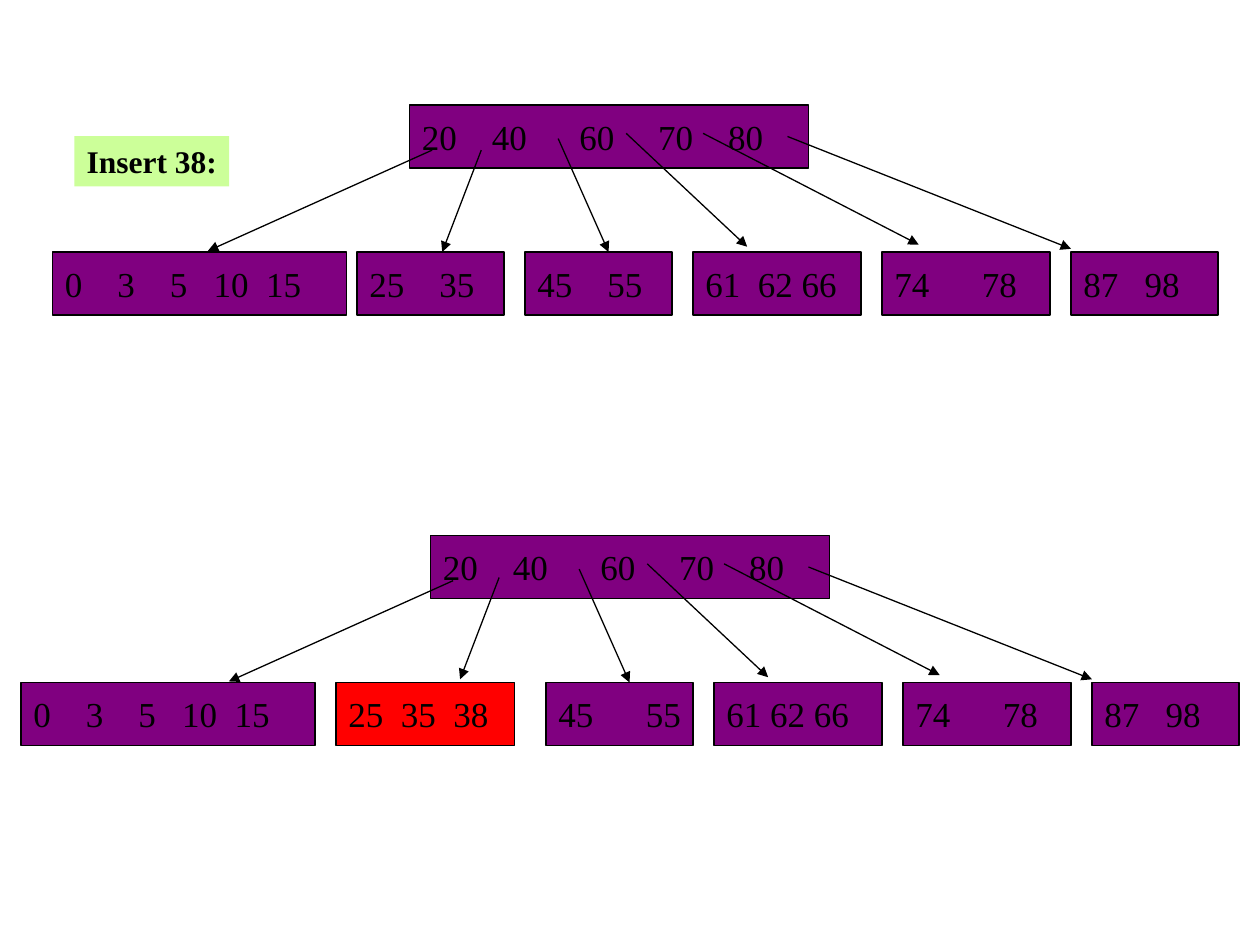
from dataclasses import dataclass

from lxml.etree import SubElement as Sub
from pptx import Presentation
from pptx.dml.color import RGBColor as Rgb
from pptx.enum.shapes import MSO_CONNECTOR as Conn, MSO_SHAPE as Kind
from pptx.enum.text import MSO_ANCHOR as Anchor, PP_ALIGN as Align
from pptx.oxml.ns import qn
from pptx.util import Inches, Pt


@dataclass(frozen=True)
class Theme:
    font: str = "Times New Roman"
    ink: str = "000000"
    node: str = "800080"
    hot: str = "FF0000"
    label: str = "CCFF99"
    keys: int = 20
    title: int = 18
    line: float = 0.75


@dataclass(frozen=True)
class Node:
    """Keys of one box; stops are key offsets in quarter ems."""
    col: int
    wide: int
    keys: str
    stops: tuple[int, ...]
    fill: str


@dataclass(frozen=True)
class Tree:
    """A root, its leaves, and the nudge of each arrow by index."""
    row: int
    root: Node
    leaves: tuple[Node, ...]
    nudge: dict[int, float]


LOOK = Theme()
CELL = 1 / 12  # grid pitch in inches
HIGH, DROP = 6, 14  # box height and root-to-leaf step, in rows

# Arrow start and end, in cells from the root's top left corner
ARROWS = (
    (2.16, 4.3, -19.2, 13.9),
    (6.84, 4.3, 3.12, 14),
    (14.16, 3.2, 18.96, 14),
    (20.64, 2.7, 32.16, 13.5),
    (27.96, 2.7, 48.5, 13.3),
    (36, 3, 63, 13.7),
)


def node(col: int, wide: int, keys: str, *stops: int, fill: str = LOOK.node) -> Node:
    return Node(col, wide, keys, stops, fill)


def root(col: int) -> Node:
    return node(col, 38, "20 40 60 70 80", 8, 18, 27, 35)


def first(col: int) -> Node:
    return node(col, 28, "0 3 5 10 15", 6, 12, 17, 23)


TREES = (
    Tree(10, root(39), (
        first(5),
        node(34, 14, "25 35", 8),
        node(50, 14, "45 55", 8),
        node(66, 16, "61 62 66", 6, 11),
        node(84, 16, "74 78", 10),
        node(102, 14, "87 98", 7),
    ), {}),
    Tree(51, root(41), (
        first(2),
        node(32, 17, "25 35 38", 6, 12, fill=LOOK.hot),
        node(52, 14, "45 55", 10),
        node(68, 16, "61 62 66", 5, 10),
        node(86, 16, "74 78", 10),
        node(104, 14, "87 98", 7),
    ), {1: -0.3}),
)


def cells(*nums: float) -> list[int]:
    return [Inches(n * CELL) for n in nums]


def box(slide, area: list[int], text: str, fill: str, size: int, bold: bool = False):
    shape = slide.shapes.add_shape(Kind.RECTANGLE, *area)
    shape.shadow.inherit = False
    shape.fill.solid()
    shape.fill.fore_color.rgb = Rgb.from_string(fill)
    shape.line.fill.background()
    frame = shape.text_frame
    # Room to the right keeps a tight line from breaking
    layout = {"word_wrap": False, "margin_right": 0, "vertical_anchor": Anchor.MIDDLE}
    for key, value in layout.items():
        setattr(frame, key, value)
    para = frame.paragraphs[0]
    para.alignment = Align.LEFT
    run = para.add_run()
    run.text = text
    style = {"name": LOOK.font, "size": Pt(size), "bold": bold}
    for key, value in style.items():
        setattr(run.font, key, value)
    run.font.color.rgb = Rgb.from_string(LOOK.ink)
    return shape


def ink(line) -> None:
    line.color.rgb = Rgb.from_string(LOOK.ink)
    line.width = Pt(LOOK.line)


def draw_node(slide, item: Node, row: int) -> None:
    text = item.keys.replace(" ", "\t")
    shape = box(slide, cells(item.col, row, item.wide, HIGH), text, item.fill, LOOK.keys)
    ink(shape.line)
    para = shape.text_frame.paragraphs[0]
    tabs = Sub(para._p.get_or_add_pPr(), qn("a:tabLst"))
    for stop in item.stops:
        Sub(tabs, qn("a:tab"), pos=str(Pt(stop * LOOK.keys / 4)), algn="l")


def draw_arrow(slide, ends: list[int]) -> None:
    arrow = slide.shapes.add_connector(Conn.STRAIGHT, *ends)
    ink(arrow.line)
    Sub(arrow.line._get_or_add_ln(), qn("a:tailEnd"), type="triangle")
    Sub(arrow._element.spPr, qn("a:effectLst"))


def draw_tree(slide, tree: Tree) -> None:
    draw_node(slide, tree.root, tree.row)
    for leaf in tree.leaves:
        draw_node(slide, leaf, tree.row + DROP)
    left, top = tree.root.col, tree.row
    for i, (x1, y1, x2, y2) in enumerate(ARROWS):
        d = tree.nudge.get(i, 0)
        draw_arrow(slide, cells(left + x1 + d, top + y1 + d, left + x2 + d, top + y2 + d))


def main() -> None:
    deck = Presentation()
    deck.slide_width, deck.slide_height = Inches(10), Inches(7.5)
    slide = deck.slides.add_slide(deck.slide_layouts[6])
    area = [Inches(n) for n in (0.59, 1.08, 1.23, 0.4)]
    box(slide, area, "Insert 38:", LOOK.label, LOOK.title, True)
    for tree in TREES:
        draw_tree(slide, tree)
    deck.save("out.pptx")


if __name__ == "__main__":
    main()
